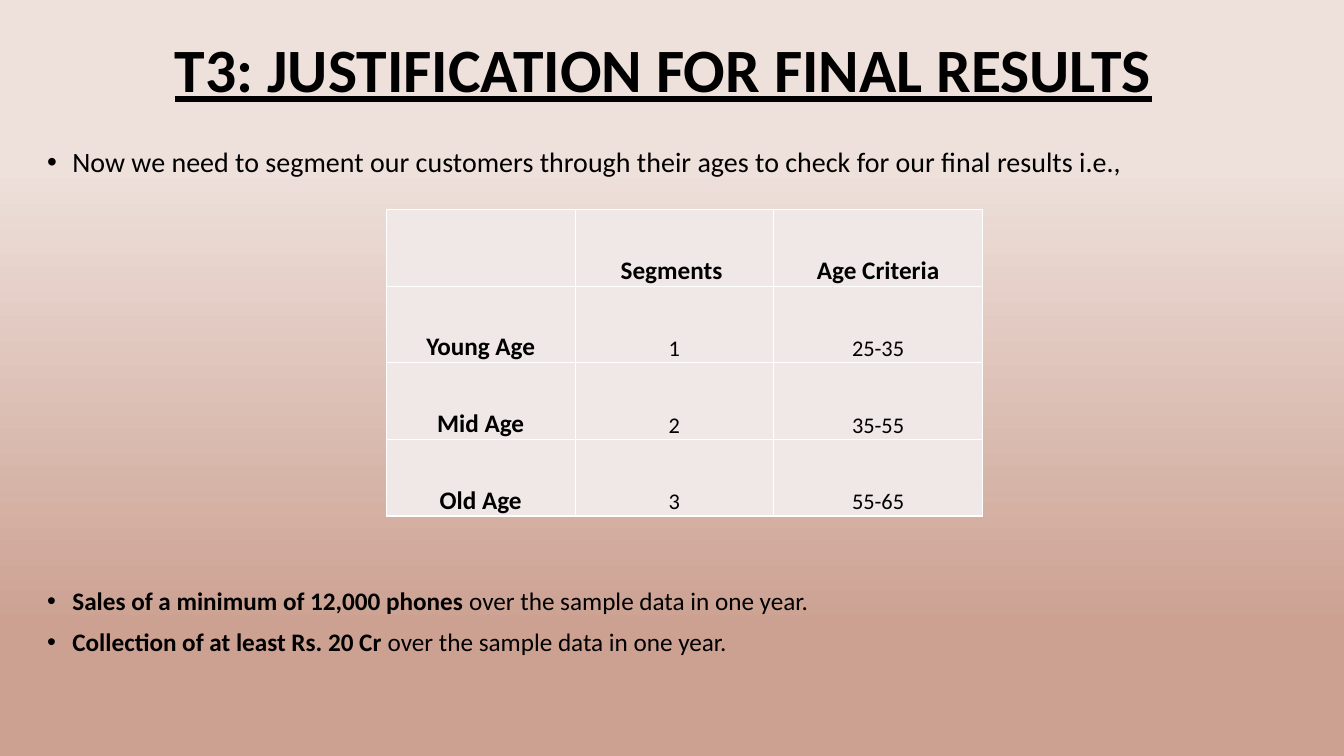
from lxml.etree import SubElement
from pptx import Presentation
from pptx.dml.color import RGBColor
from pptx.enum.text import MSO_ANCHOR as Anchor, MSO_AUTO_SIZE as AutoSize, PP_ALIGN as Align
from pptx.oxml import parse_xml
from pptx.oxml.ns import nsdecls, qn
from pptx.util import Cm, Pt

COLORS = {
    "text": "000000",
    "cell": "F0E8E6",
    "border": "FFFFFF",
    "background_top": "EEE0DB",
    "background_bottom": "CCA192",
}
FONT = "Calibri"
LEFT, WIDTH = Cm(0.94), Cm(31.57)
TABLE_GAP = 293  # points left free for the table between the bullets

# Each bullet: space before, text size, runs of (text, bold)
BULLETS = [
    (10, 20, [("Now we need to segment our customers through their ages "
               "to check for our final results i.e.,", False)]),
    (TABLE_GAP, 18, [("Sales of a minimum of 12,000 phones ", True),
                     ("over the sample data in one year.", False)]),
    (10, 18, [("Collection of at least Rs. 20 Cr ", True),
              ("over the sample data in one year.", False)]),
]
SEGMENTS = [
    ["", "Segments ", "Age Criteria"],
    ["Young Age", "1", "25-35"],
    ["Mid Age", "2", "35-55"],
    ["Old Age", "3", "55-65"],
]
COLUMN_WIDTHS = [Cm(4.77), Cm(4.99), Cm(5.28)]
ROW_HEIGHT = Cm(1.93)


def rgb(name):
    return RGBColor.from_string(COLORS[name])


def add_run(paragraph, text, size, bold=False, underline=False):
    run = paragraph.add_run()
    run.text = text
    font = run.font
    font.name, font.size, font.bold, font.underline = FONT, Pt(size), bold, underline
    font.color.rgb = rgb("text")


def set_background(slide):
    fill = slide.background.fill
    fill.gradient()
    fill.gradient_angle = 270
    stops = [("background_top", 0.22), ("background_bottom", 0.83)]
    for stop, (color, position) in zip(fill.gradient_stops, stops):
        stop.color.rgb = rgb(color)
        stop.position = position


def format_title(title, text):
    title.left, title.top, title.width, title.height = LEFT, Cm(0.71), WIDTH, Cm(2.24)
    frame = title.text_frame
    frame.auto_size = AutoSize.NONE
    frame.vertical_anchor = Anchor.MIDDLE
    paragraph = frame.paragraphs[0]
    paragraph.alignment = Align.CENTER
    paragraph.line_spacing = 0.9
    add_run(paragraph, text, 44, bold=True, underline=True)


def add_bullet_mark(paragraph):
    properties = paragraph._p.get_or_add_pPr()
    properties.set("marL", str(Cm(0.635)))
    properties.set("indent", str(-Cm(0.635)))
    SubElement(properties, qn("a:buFont"), typeface="Arial")
    SubElement(properties, qn("a:buChar"), char="•")


def add_bullets(slide, bullets):
    frame = slide.shapes.add_textbox(LEFT, Cm(3.61), WIDTH, Cm(14.73)).text_frame
    frame.word_wrap = True
    for index, (space, size, runs) in enumerate(bullets):
        paragraph = frame.add_paragraph() if index else frame.paragraphs[0]
        paragraph.line_spacing = 0.9
        paragraph.space_before = Pt(space)
        add_bullet_mark(paragraph)
        for text, bold in runs:
            add_run(paragraph, text, size, bold)


def set_borders(cell):
    properties = cell._tc.get_or_add_tcPr()
    for index, side in enumerate("LRTB"):
        properties.insert(index, parse_xml(
            f'<a:ln{side} {nsdecls("a")} w="{Pt(1)}"><a:solidFill>'
            f'<a:srgbClr val="{COLORS["border"]}"/></a:solidFill></a:ln{side}>'))


def format_cell(cell, text, heading):
    cell.fill.solid()
    cell.fill.fore_color.rgb = rgb("cell")
    set_borders(cell)
    cell.vertical_anchor = Anchor.BOTTOM
    cell.margin_left = cell.margin_right = cell.margin_top = Cm(0.03)
    cell.margin_bottom = 0
    if text:
        paragraph = cell.text_frame.paragraphs[0]
        paragraph.alignment = Align.CENTER
        add_run(paragraph, text, 18 if heading else 16, heading)


def add_segment_table(slide, rows):
    table = slide.shapes.add_table(
        len(rows), len(COLUMN_WIDTHS), Cm(9.73), Cm(5.28),
        sum(COLUMN_WIDTHS), ROW_HEIGHT * len(rows)).table
    table.first_row = table.horz_banding = False
    for column, width in zip(table.columns, COLUMN_WIDTHS):
        column.width = width
    for row_index, row in enumerate(rows):
        for column_index, text in enumerate(row):
            heading = row_index == 0 or column_index == 0
            format_cell(table.cell(row_index, column_index), text, heading)


def main():
    presentation = Presentation()
    presentation.slide_width, presentation.slide_height = Cm(33.87), Cm(19.05)
    slide = presentation.slides.add_slide(presentation.slide_layouts[5])
    set_background(slide)
    format_title(slide.shapes.title, "T3: JUSTIFICATION FOR FINAL RESULTS")
    add_bullets(slide, BULLETS)
    add_segment_table(slide, SEGMENTS)
    presentation.save("out.pptx")


if __name__ == "__main__":
    main()
